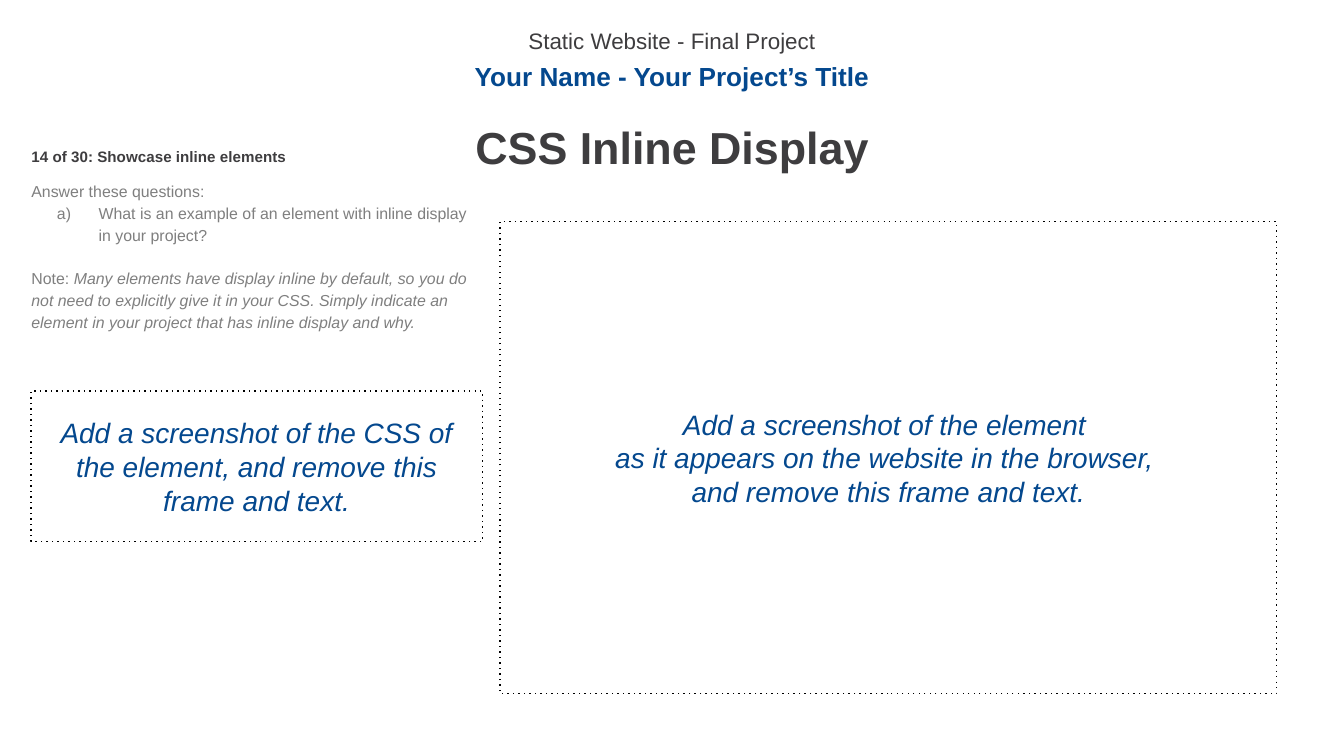
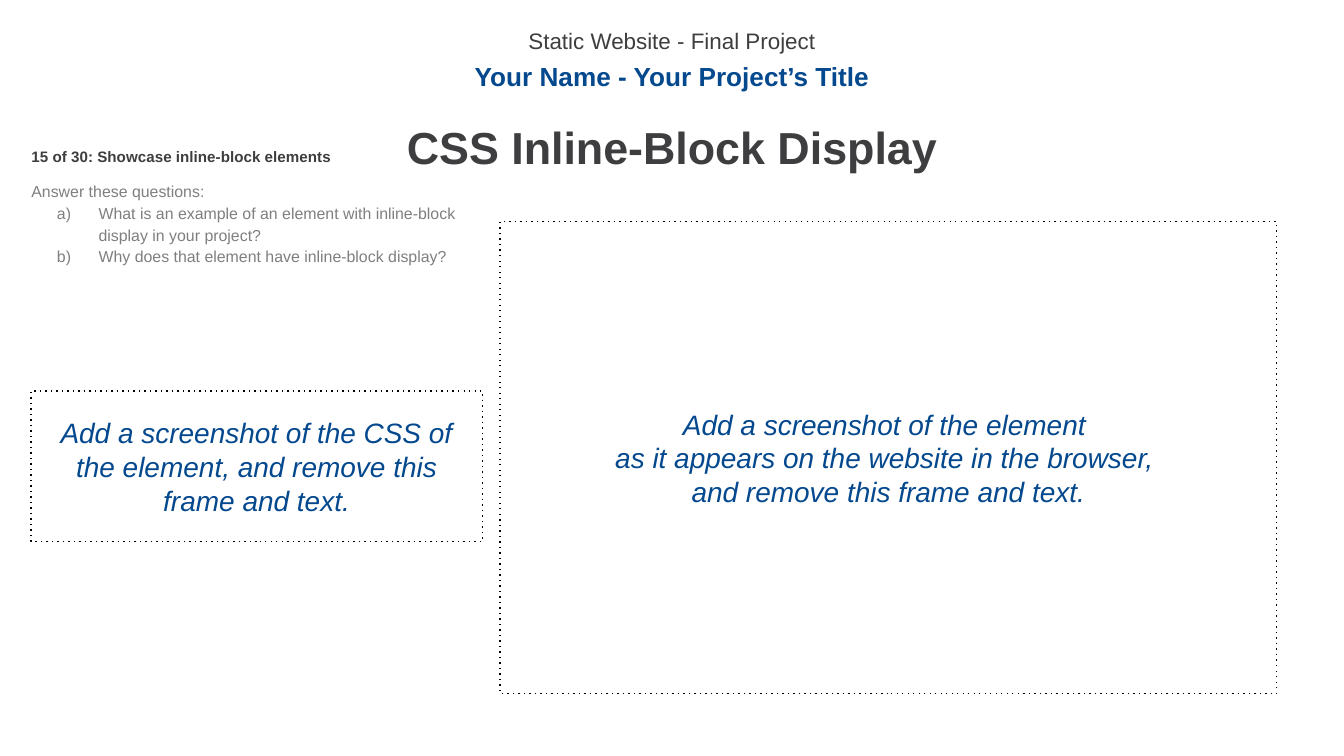
from lxml import etree
from pptx import Presentation
from pptx.dml.color import RGBColor
from pptx.enum.dml import MSO_LINE
from pptx.enum.shapes import MSO_SHAPE
from pptx.enum.text import MSO_ANCHOR, MSO_AUTO_SIZE, PP_ALIGN
from pptx.oxml.ns import qn
from pptx.util import Inches, Pt

LEFT, CENTER = PP_ALIGN.LEFT, PP_ALIGN.CENTER
TOP, MIDDLE = MSO_ANCHOR.TOP, MSO_ANCHOR.MIDDLE
NO_FIT = MSO_AUTO_SIZE.NONE
RECT, DOT = MSO_SHAPE.RECTANGLE, MSO_LINE.ROUND_DOT
INK, BLUE, GRAY, BLACK = "3E3D3F", "04488E", "7F7F7F", "000000"
TITLE_ONLY = 5

HEAD_X, HEAD_W = 19.9, 60.2
SIDE_X, SIDE_W = 1.35, 34.5

FRAMES = [
    ((37.2, 16.5, 57.8, 35.1), [
        "Add a screenshot of the element ",
        "as it appears on the website in the browser, ",
        "and remove this frame and text.",
    ]),
    ((2.3, 29.1, 33.6, 11.2), [
        "Add a screenshot of the CSS of the element, and remove this frame and text.",
    ]),
]

SLIDES = [
    {
        "title": "CSS Inline Display",
        "step": "14 of 30: Showcase inline elements",
        "questions": ["What is an example of an element with inline display in your project?"],
        "note": "Many elements have display inline by default, so you do not need to "
                "explicitly give it in your CSS. Simply indicate an element in your "
                "project that has inline display and why.",
    },
    {
        "title": "CSS Inline-Block Display",
        "step": "15 of 30: Showcase inline-block elements",
        "questions": [
            "What is an example of an element with inline-block display in your project?",
            "Why does that element have inline-block display?",
        ],
        "note": None,
    },
]


def rgb(value):
    return RGBColor.from_string(value)


def apply(target, values):
    for name, value in values.items():
        setattr(target, name, value)


class Deck:
    font = "Arial"
    columns, rows = 100, 56.25

    def __init__(self):
        self.prs = Presentation()
        width = Inches(10)
        apply(self.prs, {"slide_width": width, "slide_height": width * 9 // 16})
        self.s = None

    def new_slide(self):
        self.s = self.prs.slides.add_slide(self.prs.slide_layouts[TITLE_ONLY])

    def box(self, x, y, w, h):
        col = self.prs.slide_width / self.columns
        row = self.prs.slide_height / self.rows
        return [round(v) for v in (x * col, y * row, w * col, h * row)]

    def frame_text(self, sp, anchor=TOP, inset=0.05):
        tf = sp.text_frame
        apply(tf, {
            "word_wrap": True, "auto_size": NO_FIT, "vertical_anchor": anchor,
            "margin_left": Inches(0.1), "margin_right": Inches(0.1),
            "margin_top": Inches(inset), "margin_bottom": Inches(inset),
        })
        return tf

    def run(self, p, text, size, color, bold=False, italic=False):
        r = p.add_run()
        r.text = text
        apply(r.font, {"name": self.font, "size": Pt(size), "bold": bold, "italic": italic})
        r.font.color.rgb = rgb(color)

    def paragraph(self, tf, align=LEFT, spacing=1.14, before=0):
        p = tf.paragraphs[0] if not tf.paragraphs[0].runs else tf.add_paragraph()
        apply(p, {"alignment": align, "line_spacing": spacing, "space_before": Pt(before)})
        return p

    def textbox(self, *place):
        return self.frame_text(self.s.shapes.add_textbox(*self.box(*place)))

    def label(self, place, text, size, color, align=CENTER, bold=False):
        self.run(self.paragraph(self.textbox(*place), align), text, size, color, bold)

    def title(self, place, text):
        sp = self.s.shapes.title
        apply(sp, dict(zip(("left", "top", "width", "height"), self.box(*place))))
        self.run(self.paragraph(self.frame_text(sp), CENTER), text, 24, INK, bold=True)

    def letter(self, p):
        pPr = p._p.get_or_add_pPr()
        pPr.set("marL", str(Inches(0.5)))
        pPr.set("indent", str(Inches(-0.31)))
        clr = etree.SubElement(pPr, qn("a:buClr"))
        etree.SubElement(clr, qn("a:srgbClr"), val=GRAY)
        etree.SubElement(pPr, qn("a:buAutoNum"), type="alphaLcParenR")

    def instructions(self, place, questions, note):
        tf = self.textbox(*place)
        size = 8.5
        self.run(self.paragraph(tf), "Answer these questions:", size, GRAY)
        for question in questions:
            p = self.paragraph(tf)
            self.letter(p)
            self.run(p, question, size, GRAY)
        if note:
            p = self.paragraph(tf, before=11.7)
            self.run(p, "Note: ", size, GRAY)
            self.run(p, note, size, GRAY, italic=True)

    def dotted_frame(self, place, lines):
        sp = self.s.shapes.add_shape(RECT, *self.box(*place))
        sp.shadow.inherit = False
        sp.fill.background()
        sp.line.color.rgb = rgb(BLACK)
        apply(sp.line, {"width": Pt(0.75), "dash_style": DOT})
        next(sp._element.iter(qn("a:prstDash"))).set("val", "dot")
        tf = self.frame_text(sp, MIDDLE, 0.1)
        for line in lines:
            self.run(self.paragraph(tf, CENTER, 1.0), line, 15, BLUE, italic=True)


def main():
    deck = Deck()
    for content in SLIDES:
        deck.new_slide()
        deck.label((HEAD_X, 1.25, HEAD_W, 2.4), "Static Website - Final Project", 12, INK)
        deck.label((HEAD_X, 3.7, HEAD_W, 3.6), "Your Name - Your Project’s Title", 14, BLUE, bold=True)
        deck.title((HEAD_X, 7.85, HEAD_W, 4.5), content["title"])
        deck.label((SIDE_X, 10.3, SIDE_W, 2.5), content["step"], 8.1, INK, LEFT, True)
        deck.instructions((SIDE_X, 12.85, SIDE_W, 14.7), content["questions"], content["note"])
        for place, lines in FRAMES:
            deck.dotted_frame(place, lines)
    deck.prs.save("out.pptx")


if __name__ == "__main__":
    main()
